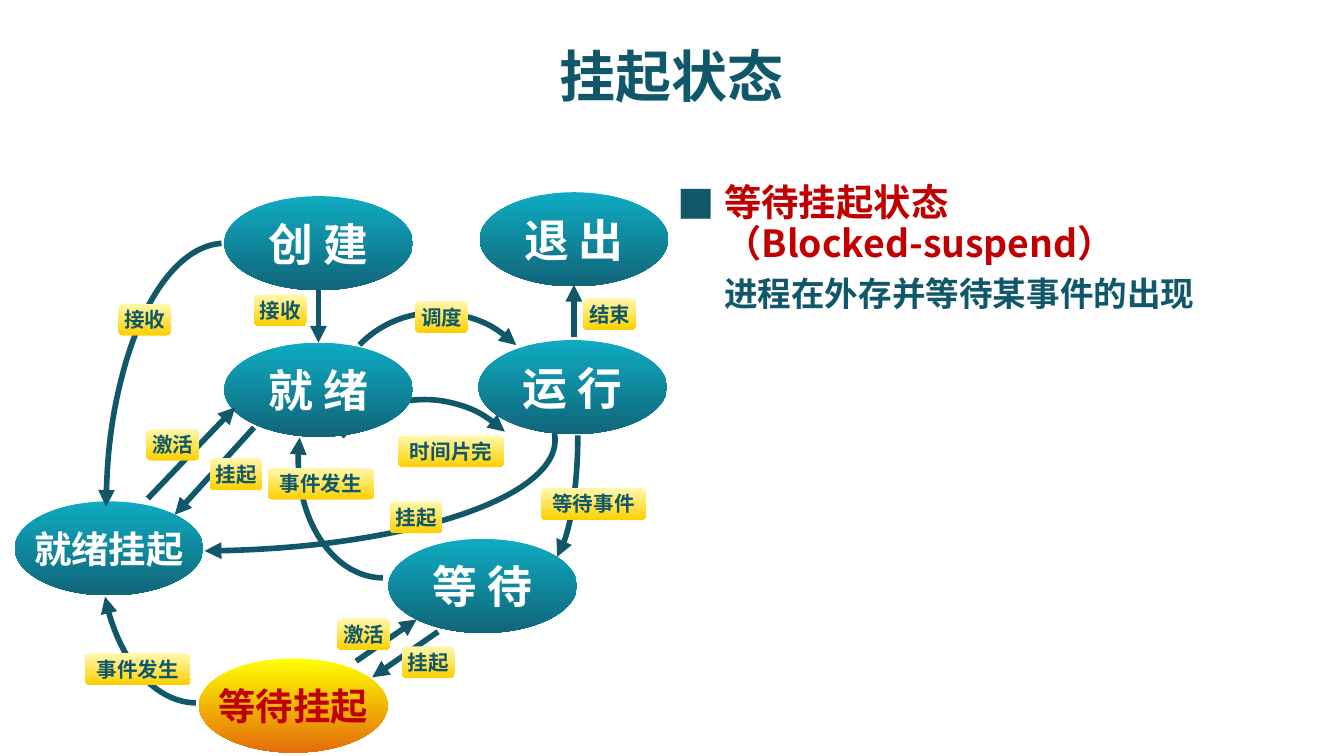
from dataclasses import dataclass

from lxml.etree import SubElement
from pptx import Presentation
from pptx.dml.color import RGBColor
from pptx.enum.shapes import MSO_CONNECTOR, MSO_SHAPE
from pptx.enum.text import MSO_ANCHOR, PP_ALIGN
from pptx.oxml.ns import qn
from pptx.util import Pt


@dataclass(frozen=True)
class Theme:
    font: str = "Noto Sans CJK SC"
    bullet_font: str = "Noto Sans CJK JP"
    ink: str = "11576A"
    accent: str = "C00000"
    white: str = "FFFFFF"
    # Gradients run from top to bottom.
    state: tuple = ("0EABC2", "116579")
    current: tuple = ("FFFF00", "E46C0A")
    label: tuple = ("FFF9B1", "FDD000")
    title_size: int = 30
    state_size: int = 24
    heading_size: int = 20
    body_size: int = 18
    label_size: int = 11
    line_width: int = 3


THEME = Theme()
STATE_W, STATE_H = 101, 50.4
LABEL_H, CHAR_W = 17, 14.2

# text, left, top
STATES = [
    ("创 建", 120.2, 105.1),
    ("就 绪", 120.2, 183.6),
    ("运 行", 256.3, 182.2),
    ("等 待", 208.1, 288.7),
    ("退 出", 257, 103),
    ("就绪挂起", 7.9, 268.6),
    ("等待挂起", 106.6, 352.8),
]
CURRENT_STATE = "等待挂起"

# left, top, width, height, start angle, end angle, rotation
ARCS_BEHIND = [
    (273.6, 162.7, 36, 141.1, 0.13, 83.9, 0),
    (169.2, 213.1, 120.2, 123.8, 267.64, 359.27, 314),
]
ARCS_IN_FRONT = [
    (177.8, 166.3, 116.6, 121, 270, 0, 314),
    (-90.7, 176.4, 388.1, 118.8, 358.96, 83.95, 0),
    (159.8, 182.9, 90.7, 126.7, 90, 194.77, 0),
    (54, 214.6, 103, 162, 90.37, 153.88, 0),
]
CREATE_TO_SUSPEND = (56.9, 130.3, 127.4, 284.4, 180.9, 269.23, 0)

# start x, start y, end x, end y
ARROWS = [
    (170.6, 155.5, 170.6, 183.6),
    (307.5, 180.7, 307.5, 152.6),
    (234.7, 338.4, 199.4, 362.9),
    (190.8, 354.2, 223.2, 331.9),
    (79.2, 267.1, 126, 218.2),
    (136.1, 229, 93.6, 275.8),
]

# text, left, top
LABELS = [
    ("挂起", 208.8, 268.6),
    ("接收", 63.4, 162.7),
    ("事件发生", 45.4, 350),
    ("接收", 136.1, 157.7),
    ("激活", 78.5, 229.7),
    ("挂起", 112.3, 245.5),
    ("事件发生", 143.6, 250.6),
    ("激活", 180.7, 331.2),
    ("挂起", 215.3, 346.3),
    ("等待事件", 289.6, 261.4),
    ("时间片完", 213.3, 233.3),
    ("调度", 222.5, 161.3),
    ("结束", 312.5, 159.8),
]


def style_paragraph(p, size, color, font=THEME.font):
    for r in p.runs:
        r.font.size = Pt(size)
        r.font.bold = True
        r.font.name = font
        r.font.color.rgb = RGBColor.from_string(color)
        SubElement(r.font._element, qn("a:ea")).set("typeface", font)


def add_text(slide, text, box, size, color, font=THEME.font, leading=None):
    s = slide.shapes.add_textbox(*map(Pt, box))
    tf = s.text_frame
    tf.word_wrap = True
    tf.text = text
    for p in tf.paragraphs:
        p.space_before = Pt(size * 0.2)
        if leading:
            p.line_spacing = Pt(leading)
        style_paragraph(p, size, color, font)
    return tf


def add_filled(slide, kind, text, box, gradient, size, color):
    """Add a borderless shape with a vertical gradient and centred text."""
    s = slide.shapes.add_shape(kind, *map(Pt, box))
    s.shadow.inherit = False
    s.line.fill.background()
    s.fill.gradient()
    s.fill.gradient_angle = 270
    for stop, stop_color in zip(s.fill.gradient_stops, gradient):
        stop.color.rgb = RGBColor.from_string(stop_color)
    tf = s.text_frame
    tf.margin_left = tf.margin_right = tf.margin_top = tf.margin_bottom = 0
    tf.word_wrap = False
    tf.vertical_anchor = MSO_ANCHOR.MIDDLE
    tf.text = text
    tf.paragraphs[0].alignment = PP_ALIGN.CENTER
    style_paragraph(tf.paragraphs[0], size, color)


def add_state(slide, text, left, top):
    current = text == CURRENT_STATE
    add_filled(slide, MSO_SHAPE.OVAL, text, (left, top, STATE_W, STATE_H),
               THEME.current if current else THEME.state,
               THEME.state_size if " " in text else THEME.heading_size,
               THEME.accent if current else THEME.white)


def add_label(slide, text, left, top):
    add_filled(slide, MSO_SHAPE.ROUNDED_RECTANGLE, text,
               (left, top, CHAR_W * len(text), LABEL_H),
               THEME.label, THEME.label_size, THEME.ink)


def style_arrow(line, end="tailEnd"):
    line.color.rgb = RGBColor.from_string(THEME.ink)
    line.width = Pt(THEME.line_width)
    SubElement(line._get_or_add_ln(), qn(f"a:{end}")).set("type", "triangle")


def add_arc(slide, left, top, width, height, start, stop, rotation, end="tailEnd"):
    s = slide.shapes.add_shape(MSO_SHAPE.ARC, Pt(left), Pt(top), Pt(width), Pt(height))
    s.shadow.inherit = False
    s.fill.background()
    s.rotation = rotation
    # One degree is 60000 file units; an adjustment of 1 is 100000.
    s.adjustments[0], s.adjustments[1] = start * 0.6, stop * 0.6
    style_arrow(s.line, end)


def add_arrow(slide, *points):
    s = slide.shapes.add_connector(MSO_CONNECTOR.STRAIGHT, *map(Pt, points))
    style_arrow(s.line)
    SubElement(s._element.spPr, qn("a:effectLst"))


def main():
    prs = Presentation()
    prs.slide_width, prs.slide_height = Pt(720), Pt(405)
    slide = prs.slides.add_slide(prs.slide_layouts[6])

    title = add_text(slide, "挂起状态", (54, 7.2, 612, 66.2), THEME.title_size, THEME.ink)
    title.vertical_anchor = MSO_ANCHOR.MIDDLE
    title.paragraphs[0].alignment = PP_ALIGN.CENTER
    add_text(slide, "等待挂起状态\n（Blocked-suspend）", (380.9, 98.6, 410, 56),
             THEME.heading_size, THEME.accent, leading=18)
    add_text(slide, "■", (355.7, 93.6, 30.2, 31.7),
             THEME.heading_size, THEME.ink, THEME.bullet_font)
    add_text(slide, "进程在外存并等待某事件的出现", (380.9, 142.6, 438, 56),
             THEME.body_size, THEME.ink)

    for arc in ARCS_BEHIND:
        add_arc(slide, *arc)
    for state in STATES:
        add_state(slide, *state)
    for arc in ARCS_IN_FRONT:
        add_arc(slide, *arc)
    add_arc(slide, *CREATE_TO_SUSPEND, end="headEnd")
    for arrow in ARROWS:
        add_arrow(slide, *arrow)
    for label in LABELS:
        add_label(slide, *label)

    prs.save("out.pptx")


if __name__ == "__main__":
    main()
